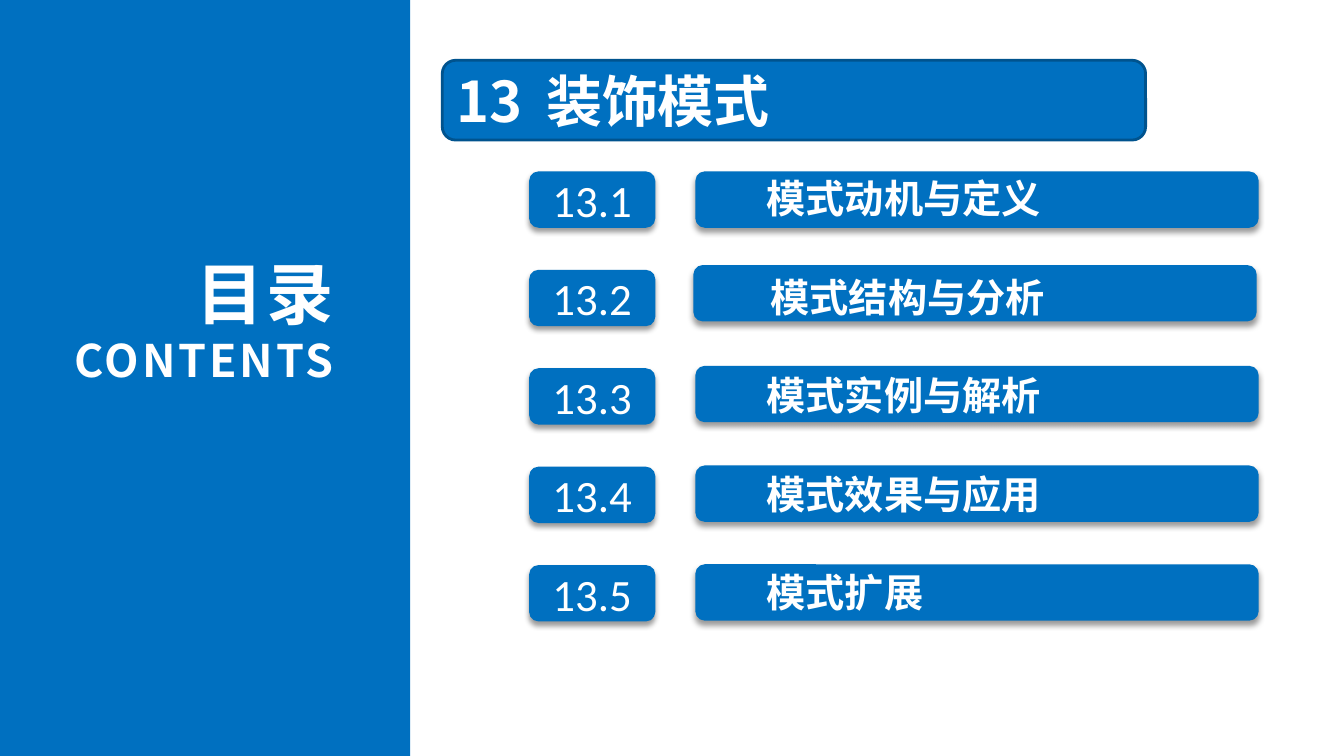
from lxml.etree import SubElement
from pptx import Presentation
from pptx.dml.color import RGBColor
from pptx.enum.shapes import MSO_SHAPE
from pptx.enum.text import MSO_ANCHOR, MSO_AUTO_SIZE, PP_ALIGN
from pptx.oxml.ns import qn
from pptx.util import Cm, Pt

BLUE = RGBColor(0x00, 0x70, 0xC0)
NAVY = RGBColor(0x00, 0x53, 0x8E)
WHITE = RGBColor(0xFF, 0xFF, 0xFF)
SANS = "Noto Sans CJK SC"
PITCH = 2.48
TOPICS = [
    ("模式动机与定义", 17.53, 4.32, 19.0),
    ("模式结构与分析", 17.48, 6.68, 19.1),
    ("模式实例与解析", 17.53, 9.22, 19.0),
    ("模式效果与应用", 17.53, 11.73, 19.0),
    ("模式扩展", 17.53, 14.22, 19.0),
]


def add_box(shapes, kind, left, top, width, height):
    """Add a plain blue shape."""
    box = shapes.add_shape(kind, Cm(left), Cm(top), Cm(width), Cm(height))
    box.shadow.inherit = False
    box.fill.solid()
    box.fill.fore_color.rgb = BLUE
    box.line.fill.background()
    return box


def add_bar(shapes, left, top, width):
    """Add a rounded bar with a soft shadow below it."""
    bar = add_box(shapes, MSO_SHAPE.ROUNDED_RECTANGLE, left, top, width, 1.42)
    effects = bar._element.spPr.find(qn("a:effectLst"))
    shade = SubElement(effects, qn("a:outerShdw"), blurRad=str(Pt(4)),
                       dist=str(Pt(3)), dir="5400000", rotWithShape="0")
    color = SubElement(shade, qn("a:srgbClr"), val="000000")
    SubElement(color, qn("a:alpha"), val="40000")
    return bar


def set_frame(frame):
    """Set the shared insets and wrapping of a text frame."""
    frame.word_wrap = True
    frame.margin_left = frame.margin_right = Cm(0.33)
    frame.margin_top = frame.margin_bottom = Cm(0.18)


def set_text(para, text, size, align, face=SANS, bold=True, space=0):
    """Write white text into a paragraph."""
    para.text = text
    para.alignment = align
    font = para.font
    font.name, font.size, font.bold = face, Pt(size), bold
    font.color.rgb = WHITE
    props = para._p.pPr.find(qn("a:defRPr"))
    SubElement(props, qn("a:ea"), typeface=face)
    if space:
        props.set("spc", str(space * 100))


def add_label(shapes, left, top, width, height):
    """Add a text box that fits its text and return its frame."""
    label = shapes.add_textbox(Cm(left), Cm(top), Cm(width), Cm(height))
    frame = label.text_frame
    set_frame(frame)
    frame.auto_size = MSO_AUTO_SIZE.SHAPE_TO_FIT_TEXT
    return frame


def add_panel(shapes):
    """Add the side panel with the contents heading."""
    add_box(shapes, MSO_SHAPE.RECTANGLE, 0, 0, 10.34, 19.05)
    frame = add_label(shapes, 0.94, 6.17, 7.8, 3.76)
    set_text(frame.paragraphs[0], "目录", 48, PP_ALIGN.RIGHT, space=2)
    set_text(frame.add_paragraph(), "CONTENTS", 32, PP_ALIGN.RIGHT, space=2)


def add_title(shapes):
    """Add the outlined chapter title."""
    box = add_box(shapes, MSO_SHAPE.ROUNDED_RECTANGLE, 11.15, 1.52, 17.73, 2.01)
    box.line.color.rgb = NAVY
    box.line.width = Pt(2)
    box.text_frame.vertical_anchor = MSO_ANCHOR.MIDDLE
    para = box.text_frame.paragraphs[0]
    tabs = SubElement(para._p.get_or_add_pPr(), qn("a:tabLst"))
    SubElement(tabs, qn("a:tab"), pos=str(Cm(2.27)), algn="l")
    set_text(para, "13\t装饰模式", 40, PP_ALIGN.LEFT)


def add_number(shapes, row):
    """Add the section number of a row."""
    frame = add_bar(shapes, 13.34, 4.32 + PITCH * row, 3.18).text_frame
    set_frame(frame)
    frame.vertical_anchor = MSO_ANCHOR.MIDDLE
    set_text(frame.paragraphs[0], f"13.{row + 1}", 32, PP_ALIGN.CENTER,
             "Calibri", False)


def add_topic(shapes, row, text, left, top, start):
    """Add the grouped bar and heading of a row."""
    group = shapes.add_group_shape().shapes
    add_bar(group, left, top, 14.2)
    frame = add_label(group, start, 4.22 + PITCH * row, 10.4, 1.55)
    set_text(frame.paragraphs[0], text, 28, PP_ALIGN.LEFT)


def main():
    """Build the contents slide."""
    deck = Presentation()
    deck.slide_width, deck.slide_height = Cm(33.88), Cm(19.05)
    shapes = deck.slides.add_slide(deck.slide_layouts[6]).shapes
    add_panel(shapes)
    add_title(shapes)
    for row, topic in enumerate(TOPICS):
        add_number(shapes, row)
        add_topic(shapes, row, *topic)
    deck.save("out.pptx")


if __name__ == "__main__":
    main()
